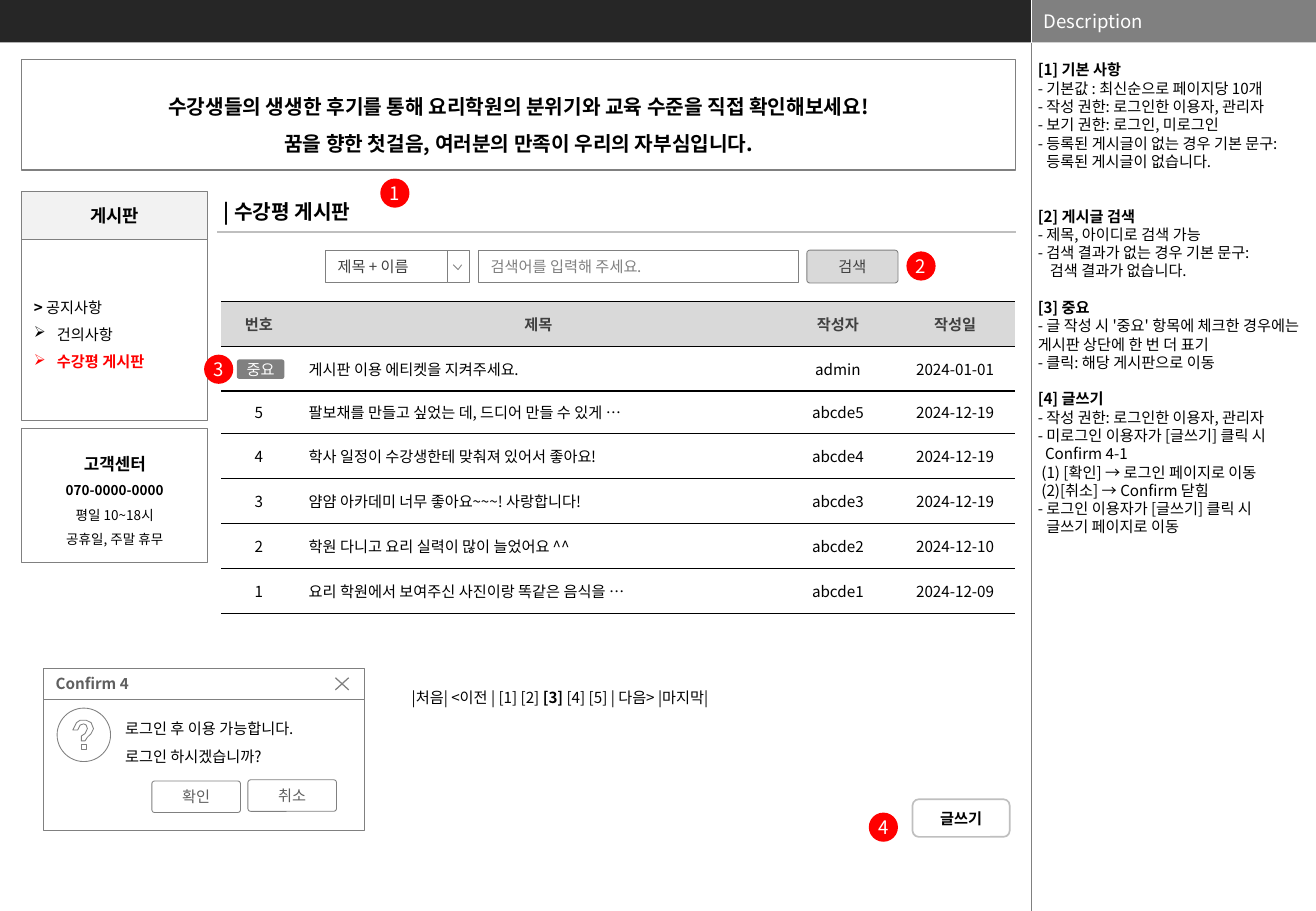
from dataclasses import dataclass

from lxml.etree import SubElement
from pptx import Presentation
from pptx.dml.color import RGBColor
from pptx.enum.shapes import MSO_CONNECTOR, MSO_SHAPE
from pptx.enum.text import MSO_ANCHOR, MSO_AUTO_SIZE, PP_ALIGN
from pptx.oxml.ns import qn
from pptx.util import Inches, Pt


@dataclass(frozen=True)
class Theme:
    font: str = "Noto Sans CJK KR"
    black: str = "000000"
    white: str = "FFFFFF"
    bar: str = "262626"
    dark: str = "404040"
    label: str = "5F5F5F"
    gray: str = "808080"
    rule: str = "BFBFBF"
    button: str = "D9D9D9"
    pale: str = "F2F2F2"
    red: str = "FF0000"
    small: float = 8
    text: float = 9
    lead: float = 10
    menu: float = 10.5
    badge: float = 11
    title: float = 12


T = Theme()
RECT, ROUND, OVAL = MSO_SHAPE.RECTANGLE, MSO_SHAPE.ROUNDED_RECTANGLE, MSO_SHAPE.OVAL
LEFT, CENTER = PP_ALIGN.LEFT, PP_ALIGN.CENTER

prs = Presentation()
prs.slide_width, prs.slide_height = Inches(10.83), Inches(7.5)
s = prs.slides.add_slide(prs.slide_layouts[1])


def box(kind, x, y, w, h, fill=None, line=None, width=0.5, adj=None,
        insets=(0.1, 0.05), anchor=MSO_ANCHOR.MIDDLE):
    """Add a preset shape, or a text box when kind is None; return its text frame."""
    place = [Inches(v) for v in (x, y, w, h)]
    sp = s.shapes.add_shape(kind, *place) if kind else s.shapes.add_textbox(*place)
    sp.shadow.inherit = False
    for part, color in ((sp.fill, fill), (sp.line.fill, line)):
        if color:
            part.solid()
            part.fore_color.rgb = RGBColor.from_string(color)
        else:
            part.background()
    if line:
        sp.line.width = Pt(width)
    if adj is not None:
        sp.adjustments[0] = adj
    tf = sp.text_frame
    tf.word_wrap = True
    tf.vertical_anchor = anchor
    tf.margin_left = tf.margin_right = Inches(insets[0])
    tf.margin_top = tf.margin_bottom = Inches(insets[1])
    return tf


def write(tf, paragraphs, align=CENTER, spacing=1.0):
    """Fill a text frame; each paragraph is a list of (text, size, color, bold) runs."""
    for i, runs in enumerate(paragraphs):
        p = tf.add_paragraph() if i else tf.paragraphs[0]
        p.alignment, p.line_spacing, p.space_before = align, spacing, Pt(0)
        for text, size, color, bold in runs:
            r = p.add_run()
            r.text = text
            r.font.size, r.font.bold, r.font.name = Pt(size), bold, T.font
            r.font.color.rgb = RGBColor.from_string(color)
            SubElement(r.font._element, qn("a:ea"), typeface=T.font)


# Header bars and rules
box(RECT, 0, 0, 8.49, 0.35, T.bar)
write(box(RECT, 8.49, 0, 2.34, 0.35, T.gray),
      [[("Description", T.badge, T.white, False)]], LEFT)
for x1, y1, x2, y2, color, width in (
    (8.49, 0, 8.49, 0.35, T.white, 0.25),
    (8.49, 0.35, 8.49, 7.5, T.gray, 0.25),
    (1.79, 1.91, 8.36, 1.91, T.rule, 0.75),
):
    line = s.shapes.add_connector(MSO_CONNECTOR.STRAIGHT, *[Inches(v) for v in (x1, y1, x2, y2)])
    line.line.color.rgb = RGBColor.from_string(color)
    line.line.width = Pt(width)
    SubElement(line._element.spPr, qn("a:effectLst"))

# Board title and description list
title, body = s.placeholders
for sp, place, insets in ((title, (1.74, 1.59, 1.57, 0.3), (0.1, 0.05)),
                          (body, (8.5, 0.5, 2.33, 7), (0.04, 0))):
    sp.left, sp.top, sp.width, sp.height = [Inches(v) for v in place]
    tf = sp.text_frame
    tf.auto_size, tf.word_wrap, tf.vertical_anchor = MSO_AUTO_SIZE.NONE, True, MSO_ANCHOR.TOP
    tf.margin_left = tf.margin_right = Inches(insets[0])
    tf.margin_top = tf.margin_bottom = Inches(insets[1])
write(title.text_frame, [[("| 수강평 게시판", T.title, T.black, True)]], LEFT)

# Each line: indent in inches, text, blank lines above
description = [
    (0, "[1] 기본 사항", 0),
    (0, "- 기본값 : 최신순으로 페이지당 10개", 0),
    (0, "- 작성 권한: 로그인한 이용자, 관리자", 0),
    (0, "- 보기 권한: 로그인, 미로그인", 0),
    (0, "- 등록된 게시글이 없는 경우 기본 문구:", 0),
    (0.07, "등록된 게시글이 없습니다.", 0),
    (0, "[2] 게시글 검색", 2),
    (0, "- 제목, 아이디로 검색 가능", 0),
    (0, "- 검색 결과가 없는 경우 기본 문구:", 0),
    (0.1, "검색 결과가 없습니다.", 0),
    (0, "[3] 중요", 1),
    (0, "- 글 작성 시 '중요' 항목에 체크한 경우에는 게시판 상단에 한 번 더 표기", 0),
    (0, "- 클릭: 해당 게시판으로 이동", 0),
    (0, "[4] 글쓰기", 1),
    (0, "- 작성 권한: 로그인한 이용자, 관리자", 0),
    (0, "- 미로그인 이용자가 [글쓰기] 클릭 시", 0),
    (0.06, "Confirm 4-1", 0),
    (0.03, "(1) [확인] → 로그인 페이지로 이동", 0),
    (0.03, "(2)[취소] → Confirm 닫힘", 0),
    (0, "- 로그인 이용자가 [글쓰기] 클릭 시", 0),
    (0.07, "글쓰기 페이지로 이동", 0),
]
write(body.text_frame, [[(text, T.text, T.black, text.startswith("["))]
                        for _, text, _ in description], LEFT)
for p, (indent, _, gap) in zip(body.text_frame.paragraphs, description):
    p.space_before = Pt(10.85 * gap)
    pPr = p._p.get_or_add_pPr()
    pPr.set("marL", str(Inches(indent)))
    pPr.set("indent", "0")
    SubElement(pPr, qn("a:buNone"))

# Review table
posts = [
    ("번호", "제목", "작성자", "작성일"),
    ("", "게시판 이용 에티켓을 지켜주세요.", "admin", "2024-01-01"),
    ("5", "팔보채를 만들고 싶었는 데, 드디어 만들 수 있게 …", "abcde5", "2024-12-19"),
    ("4", "학사 일정이 수강생한테 맞춰져 있어서 좋아요!", "abcde4", "2024-12-19"),
    ("3", "얌얌 아카데미 너무 좋아요~~~! 사랑합니다!", "abcde3", "2024-12-19"),
    ("2", "학원 다니고 요리 실력이 많이 늘었어요 ^^", "abcde2", "2024-12-10"),
    ("1", "요리 학원에서 보여주신 사진이랑 똑같은 음식을 …", "abcde1", "2024-12-09"),
]
table = s.shapes.add_table(len(posts), 4, Inches(1.82), Inches(2.48),
                           Inches(6.53), Inches(2.57)).table
table.first_row = table.horz_banding = False
for column, width in zip(table.columns, (0.62, 3.98, 0.95, 0.98)):
    column.width = Inches(width)
for i, post in enumerate(posts):
    table.rows[i].height = Inches(0.35 if i == 2 else 0.37)
    for j, text in enumerate(post):
        cell = table.cell(i, j)
        cell.vertical_anchor = MSO_ANCHOR.MIDDLE
        cell.margin_top = cell.margin_bottom = 0
        for side in ("lnL", "lnR", "lnT", "lnB"):
            ln = SubElement(cell._tc.get_or_add_tcPr(), qn(f"a:{side}"), w=str(Pt(0.75)))
            if side in ("lnL", "lnR"):
                SubElement(ln, qn("a:noFill"))
            else:
                SubElement(SubElement(ln, qn("a:solidFill")), qn("a:srgbClr"), val=T.black)
        if i == 0:
            cell.fill.solid()
            cell.fill.fore_color.rgb = RGBColor.from_string(T.button)
        else:
            cell.fill.background()
        if text:
            write(cell.text_frame, [[(text, T.text, T.black if i else T.dark, i == 0)]],
                  LEFT if i and j == 1 else CENTER)

# Intro banner
box(RECT, 0.18, 0.49, 8.18, 0.91, line=T.gray, width=0.75)
write(box(None, 0.53, 0.63, 7.48, 0.67, anchor=MSO_ANCHOR.TOP), [
    [(text, T.title, T.black, True)] for text in (
        "수강생들의 생생한 후기를 통해 요리학원의 분위기와 교육 수준을 직접 확인해보세요!",
        "꿈을 향한 첫걸음, 여러분의 만족이 우리의 자부심입니다.")], spacing=1.5)

# Side menu and customer centre
menu = box(ROUND, 0.18, 1.97, 1.53, 1.49, line=T.gray, adj=0)
write(menu, [[("> ", T.text, T.black, True), ("공지사항", T.text, T.black, False)],
             [("건의사항", T.text, T.black, False)],
             [("수강평 게시판", T.text, T.red, True)]], LEFT, 1.5)
for p in menu.paragraphs[1:]:
    pPr = p._p.get_or_add_pPr()
    pPr.set("marL", str(Inches(0.19)))
    pPr.set("indent", str(-Inches(0.19)))
    SubElement(pPr, qn("a:buChar"), char="➢")
write(box(RECT, 0.18, 3.53, 1.53, 1.1, line=T.gray, insets=(0.04, 0.04)), [
    [("고객센터", T.lead, T.black, True)],
    [("070-0000-0000", T.small, T.black, True)],
    [("평일 10~18시", T.small, T.black, False)],
    [("공휴일, 주말 휴무", T.small, T.black, False)]], spacing=1.5)

# Confirm dialog
box(RECT, 0.36, 5.76, 2.64, 1.08, T.white, T.gray)
write(box(None, 0.95, 5.81, 2, 0.53, insets=(0.08, 0.04)), [
    [(text, T.text, T.black, False)]
    for text in ("로그인 후 이용 가능합니다.", "로그인 하시겠습니까?")], LEFT, 1.5)
box(OVAL, 0.47, 5.83, 0.44, 0.44, line=T.gray)

# Labelled fields and buttons
for kind, place, fill, line, width, adj, text, size, color, bold, align in (
    (ROUND, (0.18, 1.58, 1.53, 0.39), T.pale, T.gray, 0.5, 0, "게시판", T.menu, T.black, True, CENTER),
    (RECT, (2.68, 2.06, 1, 0.27), None, T.gray, 0.5, None, "제목 + 이름", T.text, T.dark, False, LEFT),
    (RECT, (3.68, 2.06, 0.18, 0.27), T.white, T.gray, 0.5, None, "", T.text, T.dark, False, LEFT),
    (RECT, (3.94, 2.06, 2.63, 0.27), None, T.gray, 0.5, None, "검색어를 입력해 주세요.", T.text, T.gray, False, LEFT),
    (ROUND, (6.64, 2.06, 0.75, 0.27), T.button, T.gray, 0.5, 0.09, "검색", T.text, T.dark, False, CENTER),
    (RECT, (0.36, 5.5, 2.64, 0.26), T.white, T.gray, 0.5, None, "Confirm 4", T.text, T.label, True, LEFT),
    (ROUND, (1.25, 6.43, 0.73, 0.26), T.white, T.gray, 0.5, 0.09, "확인", T.text, T.label, False, CENTER),
    (ROUND, (2.04, 6.42, 0.73, 0.26), T.white, T.gray, 0.5, 0.09, "취소", T.text, T.label, False, CENTER),
    (ROUND, (7.51, 6.58, 0.8, 0.31), None, T.rule, 1, None, "글쓰기", T.text, T.black, True, CENTER),
):
    tf = box(kind, *place, fill, line, width, adj)
    if text:
        write(tf, [[(text, size, color, bold)]], align)

# Arrow, close and question icons, in hundredths of an inch
for points, closed, width in (
    ([(380, 218), (377, 222), (373, 218)], False, 0.5),
    ([(287, 558), (276, 568)], False, 0.75),
    ([(276, 558), (287, 568)], False, 0.75),
    ([(70, 610), (67, 610), (67, 606), (70, 604), (72, 600), (71, 597), (69, 596), (66, 597),
      (64, 601), (60, 601), (63, 595), (66, 593), (71, 593), (75, 595), (77, 600), (75, 604),
      (72, 607)], True, 0.5),
    ([(71, 613), (71, 617), (67, 617), (67, 613)], True, 0.5),
):
    outline = s.shapes.build_freeform(*points[0], scale=Inches(0.01))
    outline.add_line_segments(points[1:], close=closed)
    icon = outline.convert_to_shape()
    icon.shadow.inherit = False
    icon.fill.background()
    icon.line.color.rgb = RGBColor.from_string(T.gray)
    icon.line.width = Pt(width)

# Pagination, notice tag and numbered badges
write(box(None, 3.29, 5.62, 3.03, 0.25, anchor=MSO_ANCHOR.TOP), [[
    ("|처음| <이전 | [1] [2] ", T.text, T.black, False), ("[3]", T.text, T.black, True),
    (" [4] [5] | 다음> |마지막|", T.text, T.black, False)]], LEFT)
write(box(ROUND, 1.95, 2.96, 0.39, 0.16, T.gray, adj=0.12, insets=(0, 0)),
      [[("중요", T.text, T.white, False)]])
for number, (x, y) in enumerate(((3.13, 1.47), (7.46, 2.07), (1.68, 2.92), (7.15, 6.69)), 1):
    write(box(OVAL, x, y, 0.24, 0.24, T.red, insets=(0, 0)),
          [[(str(number), T.badge, T.white, False)]])

prs.save("out.pptx")
